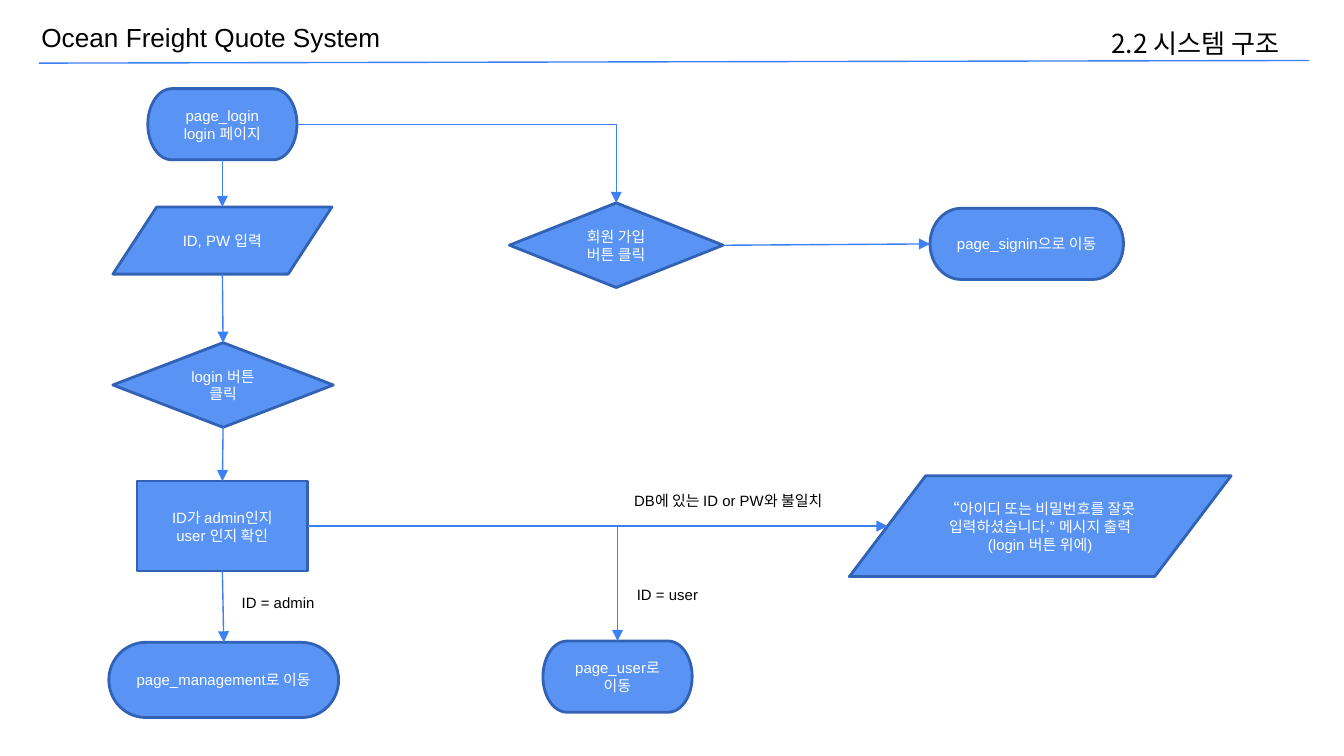
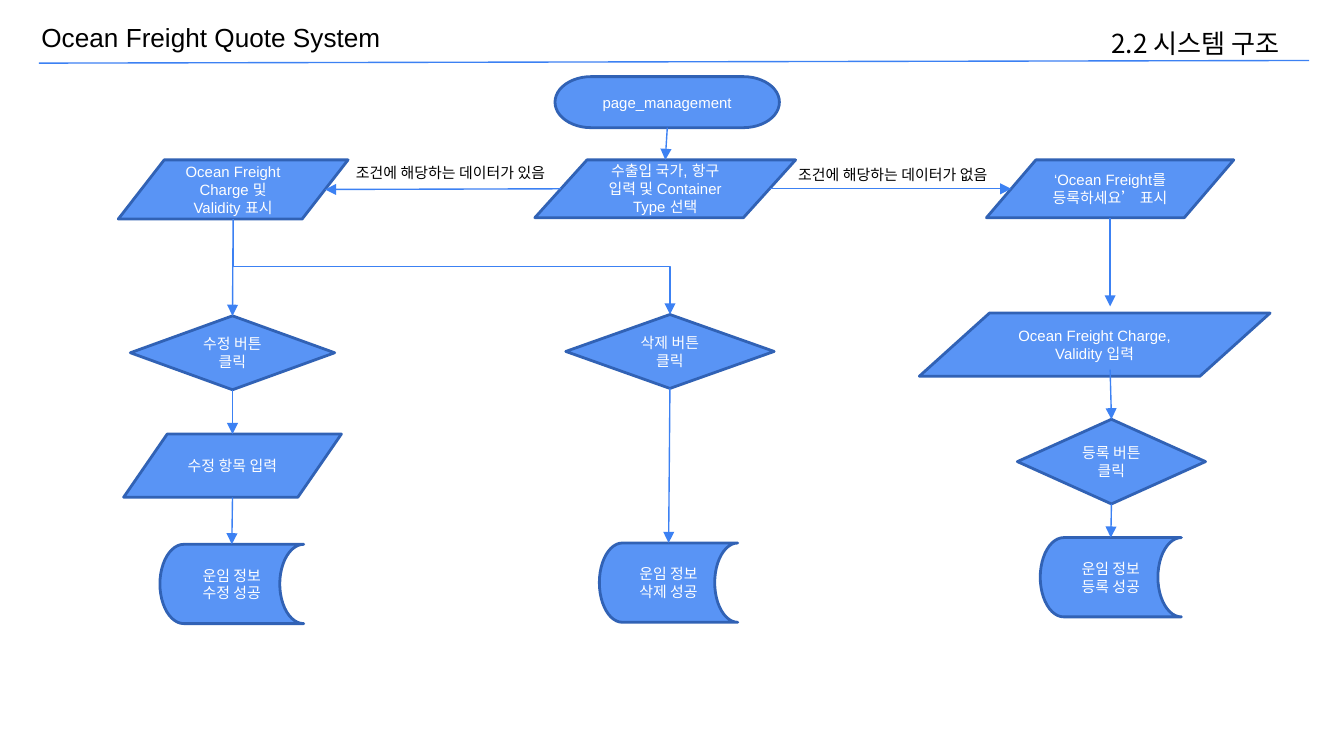
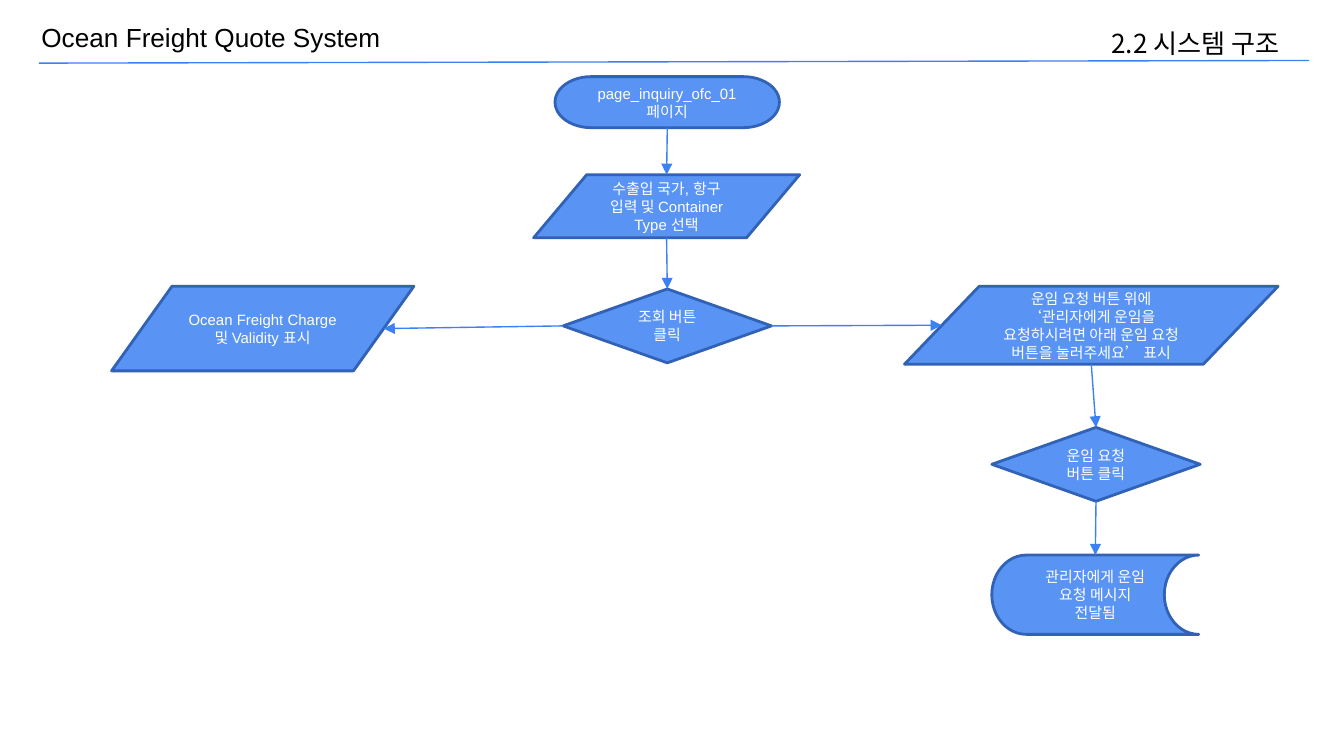
import pptx
import pptx.util
import pptx.dml.color
import pptx.enum.shapes
import pptx.enum.text
import pptx.oxml.ns
import lxml.etree

Inches, Pt = pptx.util.Inches, pptx.util.Pt
RGB = pptx.dml.color.RGBColor
SHAPE = pptx.enum.shapes.MSO_SHAPE
CONNECTOR = pptx.enum.shapes.MSO_CONNECTOR
TEXT = pptx.enum.text
qn = pptx.oxml.ns.qn

NODE_FILL = RGB(0x59, 0x94, 0xF5)
NODE_LINE = RGB(0x31, 0x62, 0xB5)
LINK_LINE = RGB(0x3C, 0x81, 0xF3)
WHITE = RGB(0xFF, 0xFF, 0xFF)
BLACK = RGB(0, 0, 0)
BODY_FONT = "Arial"
SECTION_FONT = "Noto Sans CJK KR"

SYSTEM = "Ocean Freight Quote System"
SECTION = "2.2 시스템 구조"
SYSTEM_BOX = (0.21, 0.11, 2.74, 0.34)
SECTION_BOX = (8.17, 0.15, 1.68, 0.36)
HEADER_RULE = ((0.29, 0.47), (9.74, 0.45))
LABEL_HEIGHT = 0.24

PAGE = SHAPE.FLOWCHART_TERMINATOR
DATA = SHAPE.FLOWCHART_DATA
CLICK = SHAPE.FLOWCHART_DECISION
CHECK = SHAPE.RECTANGLE
STORED = SHAPE.FLOWCHART_STORED_DATA

LOGIN = {
    "nodes": {
        "login": (PAGE, (1.1, 0.66, 1.11, 0.53), ["page_login", "login 페이지"]),
        "id_pw": (DATA, (0.84, 1.54, 1.63, 0.5), ["ID, PW 입력"]),
        "login_click": (CLICK, (0.84, 2.55, 1.64, 0.63), ["login 버튼 클릭"]),
        "mismatch": (DATA, (6.32, 3.54, 2.84, 0.75),
                     ["“아이디 또는 비밀번호를 잘못 입력하셨습니다.” 메시지 출력", "(login 버튼 위에)"]),
        "join_click": (CLICK, (3.79, 1.51, 1.59, 0.63), ["회원 가입 버튼 클릭"]),
        "signin": (PAGE, (6.92, 1.55, 1.44, 0.53), ["page_signin으로 이동"]),
        "id_check": (CHECK, (1.02, 3.58, 1.27, 0.67), ["ID가 admin인지", "user 인지 확인"]),
        "user": (PAGE, (4.04, 4.77, 1.11, 0.53), ["page_user로 이동"]),
        "management": (PAGE, (0.81, 4.78, 1.71, 0.56), ["page_management로 이동"]),
    },
    "links": [
        ("login", "bottom", "id_pw", "top"),
        ("id_pw", "bottom", "login_click", "top"),
        ("login_click", "bottom", "id_check", "top"),
        ("id_check", "bottom", "management", "top"),
        ("login", "right", "join_click", "top"),
        ("join_click", "right", "signin", "left"),
        ("id_check", "right", "mismatch", "left"),
        ("id_check", "right", "user", "top"),
    ],
    "labels": [
        ("ID = admin", 1.7, 4.37, 0.79),
        ("ID = user", 4.64, 4.31, 0.69),
        ("DB에 있는 ID or PW와 불일치", 4.62, 3.61, 1.72),
    ],
}

MANAGEMENT = {
    "nodes": {
        "management": (PAGE, (4.13, 0.57, 1.67, 0.38), ["page_management"]),
        "search": (DATA, (3.98, 1.19, 1.94, 0.43), ["수출입 국가, 항구 입력 및 Container Type 선택"]),
        "edit_click": (CLICK, (0.97, 2.35, 1.52, 0.55), ["수정 버튼 클릭"]),
        "none_found": (DATA, (7.34, 1.19, 1.84, 0.43), ["‘Ocean Freight를 등록하세요’ 표시"]),
        "new_charge": (DATA, (6.84, 2.33, 2.61, 0.47), ["Ocean Freight Charge, Validity 입력"]),
        "add_click": (CLICK, (7.57, 3.12, 1.4, 0.63), ["등록 버튼 클릭"]),
        "edited": (STORED, (1.19, 4.05, 1.07, 0.59), ["운임 정보 수정 성공"]),
        "found": (DATA, (0.88, 1.19, 1.71, 0.44), ["Ocean Freight Charge 및 Validity 표시"]),
        "edit_input": (DATA, (0.92, 3.23, 1.62, 0.47), ["수정 항목 입력"]),
        "delete_click": (CLICK, (4.21, 2.34, 1.55, 0.55), ["삭제 버튼 클릭"]),
        "added": (STORED, (7.74, 4, 1.05, 0.59), ["운임 정보 등록 성공"]),
        "deleted": (STORED, (4.46, 4.04, 1.03, 0.59), ["운임 정보 삭제 성공"]),
    },
    "links": [
        ("management", "bottom", "search", "top"),
        ("found", "bottom", "edit_click", "top"),
        ("edit_click", "bottom", "edit_input", "top"),
        ("edit_input", "bottom", "edited", "top"),
        ("found", "bottom", "delete_click", "top"),
        ("delete_click", "bottom", "deleted", "top"),
        ("none_found", "bottom", None, (8.26, 2.28)),
        (None, (8.26, 2.75), "add_click", "top"),
        ("add_click", "bottom", "added", "top"),
        ("search", "left", "found", "right"),
        ("search", "right", "none_found", "left"),
    ],
    "labels": [
        ("조건에 해당하는 데이터가 있음", 2.55, 1.17, 1.78),
        ("조건에 해당하는 데이터가 없음", 5.84, 1.18, 1.78),
    ],
}

INQUIRY = {
    "nodes": {
        "inquiry": (PAGE, (4.13, 0.57, 1.67, 0.38), ["page_inquiry_ofc_01", "페이지"]),
        "found": (DATA, (0.83, 2.13, 2.25, 0.63), ["Ocean Freight Charge 및 Validity 표시"]),
        "search_click": (CLICK, (4.19, 2.15, 1.55, 0.55), ["조회 버튼 클릭"]),
        "requested": (STORED, (7.38, 4.13, 1.54, 0.59), ["관리자에게 운임 요청 메시지 전달됨"]),
        "search": (DATA, (3.97, 1.3, 1.98, 0.47), ["수출입 국가, 항구 입력 및 Container Type 선택"]),
        "none_found": (DATA, (6.73, 2.13, 2.78, 0.58),
                       ["운임 요청 버튼 위에",
                        "‘관리자에게 운임을 요청하시려면 아래 운임 요청 버튼을 눌러주세요’ 표시"]),
        "request_click": (CLICK, (7.38, 3.18, 1.55, 0.55), ["운임 요청 버튼 클릭"]),
    },
    "links": [
        ("inquiry", "bottom", "search", "top"),
        ("search", "bottom", "search_click", "top"),
        ("search_click", "left", "found", "right"),
        ("search_click", "right", "none_found", "left"),
        ("none_found", "bottom", "request_click", "top"),
        ("request_click", "bottom", "requested", "top"),
    ],
    "labels": [],
}


def write(frame, paragraphs, size, color, font=BODY_FONT, align=None):
    for index, words in enumerate(paragraphs):
        paragraph = frame.paragraphs[0] if index == 0 else frame.add_paragraph()
        paragraph.alignment = align
        run = paragraph.add_run()
        run.text = words
        run.font.size = Pt(size)
        run.font.name = font
        run.font.color.rgb = color


def add_text(slide, words, box, size, font=BODY_FONT):
    frame = slide.shapes.add_textbox(*map(Inches, box)).text_frame
    frame.word_wrap = False
    frame.auto_size = TEXT.MSO_AUTO_SIZE.SHAPE_TO_FIT_TEXT
    write(frame, [words], size, BLACK, font)
    return frame


def add_line(slide, start, end, kind=CONNECTOR.STRAIGHT):
    line = slide.shapes.add_connector(kind, *map(Inches, start + end))
    line.line.color.rgb = LINK_LINE
    line.line.width = Pt(0.75)
    lxml.etree.SubElement(line._element.spPr, qn("a:effectLst"))
    return line


def add_header(slide):
    add_text(slide, SYSTEM, SYSTEM_BOX, 14)
    add_line(slide, *HEADER_RULE)
    section = add_text(slide, SECTION, SECTION_BOX, 14, SECTION_FONT)
    section.word_wrap = True
    section.auto_size = TEXT.MSO_AUTO_SIZE.NONE
    section.margin_top = section.margin_bottom = Inches(0.1)
    section.paragraphs[0].line_spacing = 0.8


def add_node(slide, kind, box, paragraphs):
    node = slide.shapes.add_shape(kind, *map(Inches, box))
    node.shadow.inherit = False
    node.fill.solid()
    node.fill.fore_color.rgb = NODE_FILL
    node.line.color.rgb = NODE_LINE
    node.line.width = Pt(1.5)
    node.text_frame.word_wrap = True
    node.text_frame.vertical_anchor = TEXT.MSO_ANCHOR.MIDDLE
    write(node.text_frame, paragraphs, 8, WHITE, align=TEXT.PP_ALIGN.CENTER)


def anchor(nodes, name, side):
    if name is None:
        return side
    kind, (left, top, width, height), _ = nodes[name]
    slant = width / 10 if kind == DATA else 0
    return {
        "top": (left + width / 2, top),
        "bottom": (left + width / 2, top + height),
        "left": (left + slant, top + height / 2),
        "right": (left + width - slant, top + height / 2),
    }[side]


def add_link(slide, nodes, source, source_side, target, target_side):
    start = anchor(nodes, source, source_side)
    end = anchor(nodes, target, target_side)
    across, down = end[0] - start[0], end[1] - start[1]
    if min(abs(across), abs(down)) < 0.2:
        link = add_line(slide, start, end)
    elif source_side == "right":
        link = add_line(slide, start, end, CONNECTOR.ELBOW)
        link._element.spPr.find(qn("a:prstGeom")).set("prst", "bentConnector2")
    else:
        middle_x, middle_y = start[0] + across / 2, start[1] + down / 2
        link = add_line(slide, (middle_x - down / 2, middle_y - across / 2),
                        (middle_x + down / 2, middle_y + across / 2), CONNECTOR.ELBOW)
        turn = link._element.spPr.find(qn("a:xfrm"))
        turn.set("rot", str(270 * 60000))
        turn.set("flipH", "1")
    outline = link._element.spPr.find(qn("a:ln"))
    lxml.etree.SubElement(outline, qn("a:tailEnd"), type="triangle")


def main():
    deck = pptx.Presentation()
    deck.slide_width = Inches(10)
    deck.slide_height = deck.slide_width * 9 // 16
    for flow in (LOGIN, MANAGEMENT, INQUIRY):
        slide = deck.slides.add_slide(deck.slide_layouts[6])
        add_header(slide)
        for node in flow["nodes"].values():
            add_node(slide, *node)
        for link in flow["links"]:
            add_link(slide, flow["nodes"], *link)
        for words, left, top, width in flow["labels"]:
            add_text(slide, words, (left, top, width, LABEL_HEIGHT), 8)
    deck.save("out.pptx")


if __name__ == "__main__":
    main()
